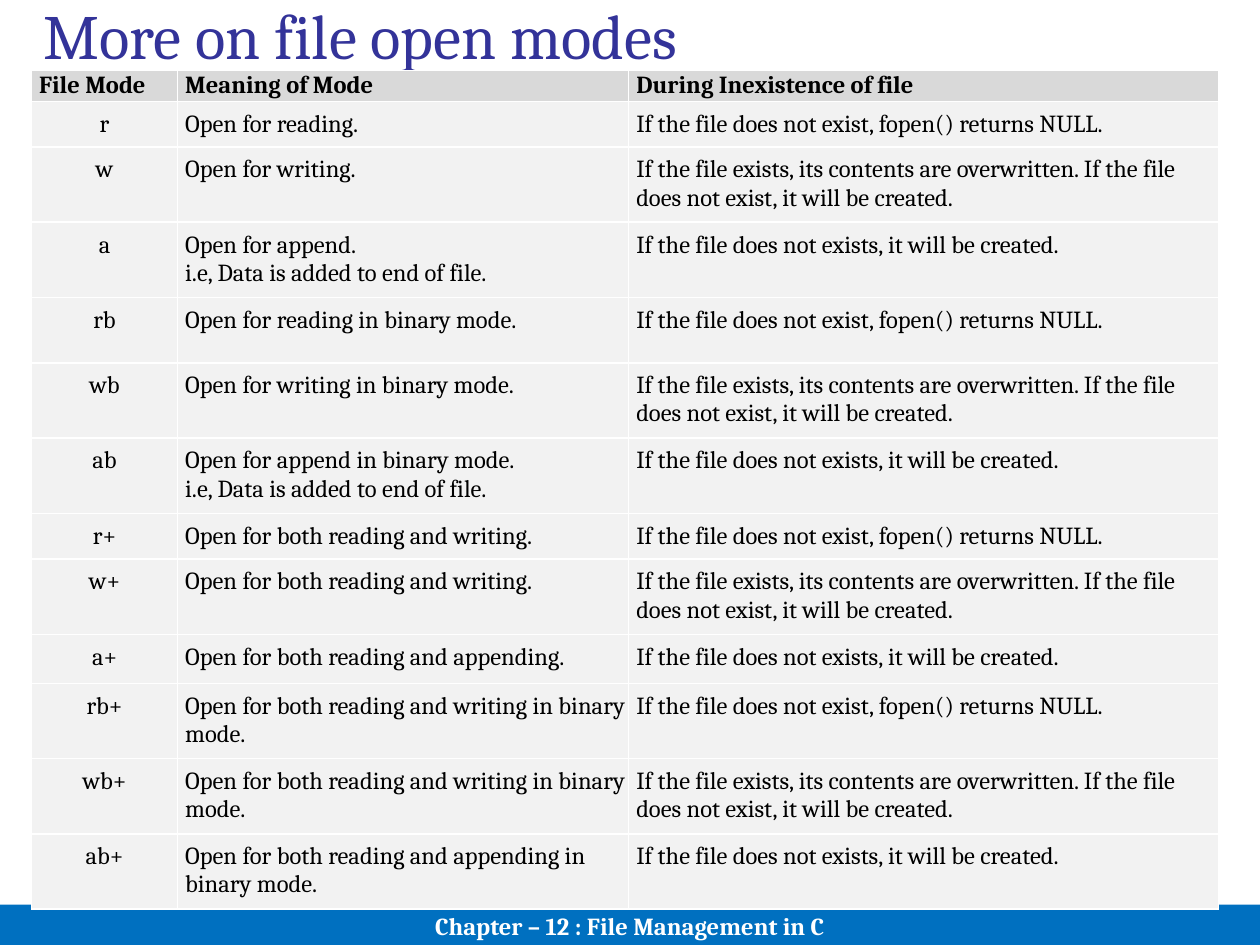
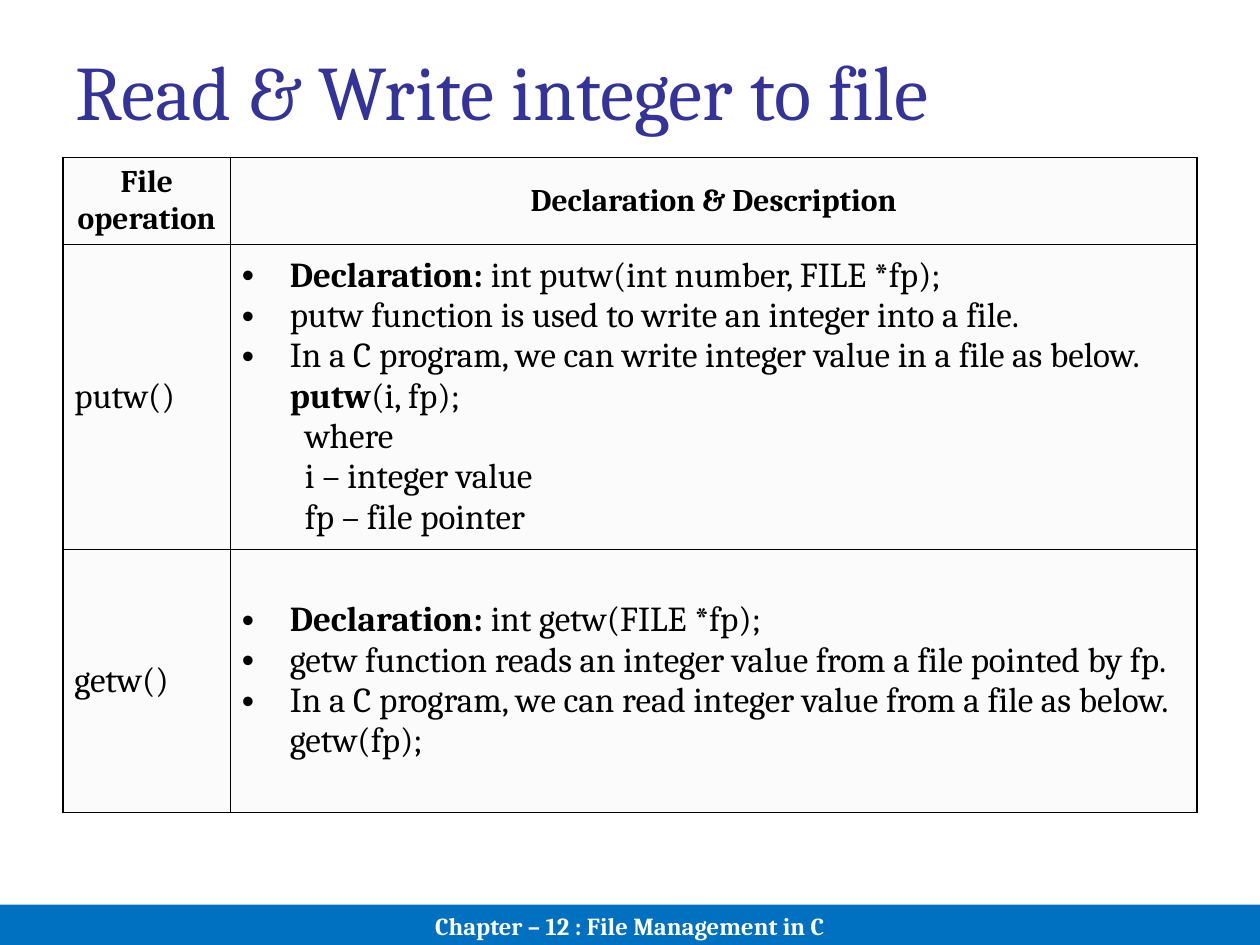
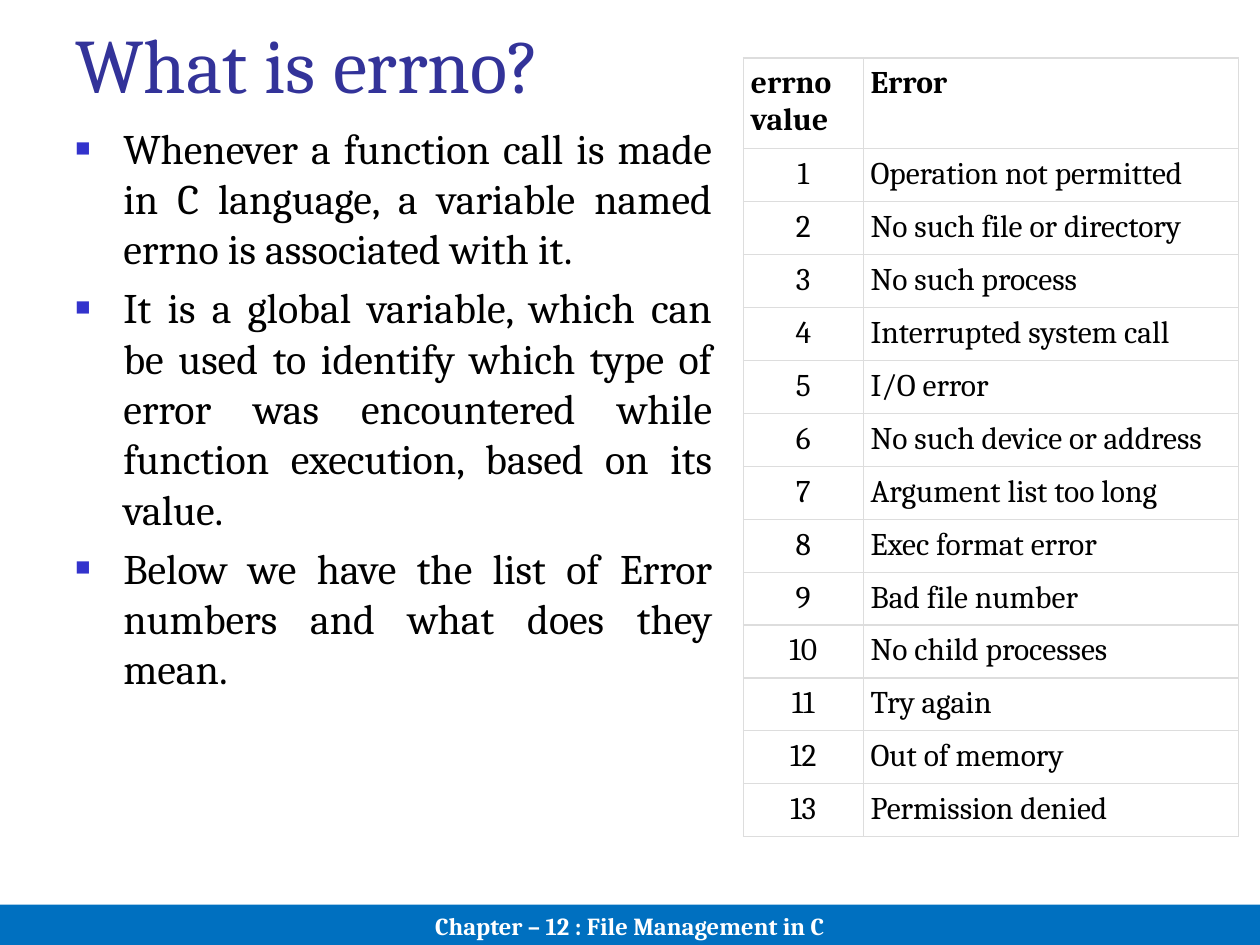
"""Build three slides on file management in C."""
from itertools import cycle

from lxml import etree
from pptx import Presentation
from pptx.dml.color import RGBColor
from pptx.enum.shapes import MSO_SHAPE
from pptx.enum.text import MSO_ANCHOR, PP_ALIGN
from pptx.oxml.ns import qn
from pptx.util import Inches, Pt

RECTANGLE = MSO_SHAPE.RECTANGLE
TOP, MIDDLE = MSO_ANCHOR.TOP, MSO_ANCHOR.MIDDLE
CENTER, JUSTIFY = PP_ALIGN.CENTER, PP_ALIGN.JUSTIFY
FONT = "Cambria"
BLACK = RGBColor(0x00, 0x00, 0x00)
WHITE = RGBColor(0xFF, 0xFF, 0xFF)
INDIGO = RGBColor(0x33, 0x33, 0x99)
BULLET_BLUE = RGBColor(0x33, 0x33, 0xCC)
FOOTER_BLUE = RGBColor(0x00, 0x70, 0xC0)
HEADER_GREY = RGBColor(0xD9, 0xD9, 0xD9)
ROW_GREY = RGBColor(0xF2, 0xF2, 0xF2)
PALE_GREY = RGBColor(0xFB, 0xFB, 0xFB)
LINE_GREY = RGBColor(0xDD, 0xDD, 0xDD)


def write(p, text, size, color=BLACK, bullet=None, bullet_color=None):
    """Fill a paragraph; bars enclose bold text and newlines break lines."""
    for i, part in enumerate(text.split("|")):
        for j, line in enumerate(part.split("\n")):
            if j:
                p.add_line_break()
            if line:
                r = p.add_run()
                r.text = line
                r.font.name, r.font.size = FONT, Pt(size)
                r.font.bold = i % 2 == 1
                r.font.color.rgb = color
    if bullet:
        pPr = p._p.get_or_add_pPr()
        pPr.set("marL", str(Inches(0.38)))
        pPr.set("indent", str(-Inches(0.38)))
        if bullet_color is not None:
            clr = etree.SubElement(pPr, qn("a:buClr"))
            etree.SubElement(clr, qn("a:srgbClr"), val=str(bullet_color))
            etree.SubElement(pPr, qn("a:buSzPct"), val="60000")
        etree.SubElement(pPr, qn("a:buFont"), typeface="Arial")
        etree.SubElement(pPr, qn("a:buChar"), char=bullet)


def add_grid(s, x, y, widths, heights, rows, sizes, fill, line, line_width, insets, anchor):
    """Add a bordered table whose cells are lists of (text, bullet) or plain strings."""
    table = s.shapes.add_table(len(heights), len(widths), Inches(x), Inches(y),
                               Inches(sum(widths)), Inches(sum(heights))).table
    table.first_row = table.horz_banding = False
    for col, width in zip(table.columns, widths):
        col.width = Inches(width)
    for i, (row, height) in enumerate(zip(table.rows, heights)):
        row.height = Inches(height)
        for cell, content in zip(row.cells, rows[i]):
            cell.margin_left, cell.margin_top, cell.margin_right, cell.margin_bottom = map(Inches, insets)
            cell.vertical_anchor = anchor
            cell.fill.solid()
            cell.fill.fore_color.rgb = fill
            paragraphs = [(content, None)] if isinstance(content, str) else content
            for j, (text, bullet) in enumerate(paragraphs):
                p = cell.text_frame.add_paragraph() if j else cell.text_frame.paragraphs[0]
                write(p, text, sizes[min(i, 1)], bullet=bullet)
            tcPr = cell._tc.get_or_add_tcPr()
            for j, side in enumerate(("a:lnL", "a:lnR", "a:lnT", "a:lnB")):
                ln = etree.Element(qn(side), w=str(Pt(line_width)))
                solid = etree.SubElement(ln, qn("a:solidFill"))
                etree.SubElement(solid, qn("a:srgbClr"), val=str(line))
                tcPr.insert(j, ln)
    return table


prs = Presentation()
prs.slide_width, prs.slide_height = Inches(10), Inches(7.5)

titles = [
    ("More on file open modes", 0.25, -0.08, 36),
    ("Read & Write integer to file", 0.5, 0.3, 44),
    ("What is errno?", 0.5, 0.08, 44),
]
for title, x, y, size in titles:
    s = prs.slides.add_slide(prs.slide_layouts[6])
    tf = s.shapes.add_textbox(Inches(x), Inches(y), Inches(9), Inches(1.25)).text_frame
    tf.word_wrap = True
    write(tf.paragraphs[0], title, size, INDIGO)
    sp = s.shapes.add_shape(RECTANGLE, 0, Inches(7.18), Inches(10), Inches(0.33))
    sp.shadow.inherit = False
    sp.fill.solid()
    sp.fill.fore_color.rgb = FOOTER_BLUE
    sp.line.fill.background()
    sp.text_frame.vertical_anchor = MIDDLE
    p = sp.text_frame.paragraphs[0]
    p.alignment = CENTER
    write(p, "|Chapter – 12 : File Management in C|", 14, WHITE)

modes_slide, integer_slide, errno_slide = prs.slides

append_note = ("i.e, Data is added to end of file.", None)
modes = [
    ("r", "Open for reading."),
    ("w", "Open for writing."),
    ("a", [("Open for append.", None), append_note]),
    ("rb", "Open for reading in binary mode."),
    ("wb", "Open for writing in binary mode."),
    ("ab", [("Open for append in binary mode.", None), append_note]),
    ("r+", "Open for both reading and writing."),
    ("w+", "Open for both reading and writing."),
    ("a+", "Open for both reading and appending."),
    ("rb+", "Open for both reading and writing in binary mode."),
    ("wb+", "Open for both reading and writing in binary mode."),
    ("ab+", "Open for both reading and appending in binary mode."),
]
if_missing = cycle([
    "If the file does not exist, fopen() returns NULL.",
    "If the file exists, its contents are overwritten. If the file does not exist, it will be created.",
    "If the file does not exists, it will be created.",
])
rows = [("|File Mode|", "|Meaning of Mode|", "|During Inexistence of file|")]
rows += [(mode, meaning, missing) for (mode, meaning), missing in zip(modes, if_missing)]
heights = [0.24, 0.36, 0.59, 0.59, 0.52, 0.59, 0.59, 0.36, 0.59, 0.39, 0.59, 0.59, 0.59]
table = add_grid(modes_slide, 0.25, 0.56, [1.16, 3.58, 4.68], heights, rows, (14, 14),
                 ROW_GREY, WHITE, 1, (0.06, 0.07, 0.01, 0.06), TOP)
for cell in table.rows[0].cells:
    cell.fill.fore_color.rgb = HEADER_GREY
    cell.margin_top, cell.margin_bottom = Inches(0.01), 0
for i in range(1, len(rows)):
    table.cell(i, 0).margin_left = Inches(0.01)
    table.cell(i, 0).text_frame.paragraphs[0].alignment = CENTER

rows = [
    ("|File operation|", "|Declaration & Description|"),
    ("putw()", [
        ("|Declaration:| int putw(int number, FILE *fp);", "•"),
        ("putw function is used to write an integer into a file.", "•"),
        ("In a C program, we can write integer value in a file as below.\n|putw|(i, fp);", "•"),
        ("where\ni – integer value\nfp – file pointer", None),
    ]),
    ("getw()", [
        ("|Declaration:| int getw(FILE *fp);", "•"),
        ("getw function reads an integer value from a file pointed by fp.", "•"),
        ("In a C program, we can read integer value from a file as below.\ngetw(fp);", "•"),
    ]),
]
table = add_grid(integer_slide, 0.5, 1.25, [1.33, 7.67], [0.69, 2.42, 2.09], rows, (18, 20),
                 PALE_GREY, BLACK, 0.75, (0.09, 0.04, 0.09, 0.04), MIDDLE)
for cell in table.rows[0].cells:
    cell.text_frame.paragraphs[0].alignment = CENTER
where = table.cell(1, 1).text_frame.paragraphs[-1]
where.level = 1
where._p.get_or_add_pPr().set("marL", str(Inches(0.5)))

points = [
    "Whenever a function call is made in C language, a variable named errno is associated with it.",
    "It is a global variable, which can be used to identify which type of error was encountered "
    "while function execution, based on its value.",
    "Below we have the list of Error numbers and what does they mean.",
]
tf = errno_slide.shapes.add_textbox(Inches(0.5), Inches(0.92), Inches(5.25), Inches(5.58)).text_frame
tf.word_wrap = True
for i, point in enumerate(points):
    p = tf.add_paragraph() if i else tf.paragraphs[0]
    p.alignment = JUSTIFY
    p.space_before = Pt(4.8)
    write(p, point, 24, bullet="■", bullet_color=BULLET_BLUE)

errors = [
    "Operation not permitted", "No such file or directory", "No such process",
    "Interrupted system call", "I/O error", "No such device or address",
    "Argument list too long", "Exec format error", "Bad file number",
    "No child processes", "Try again", "Out of memory", "Permission denied",
]
rows = [("|errno value|", "|Error|")]
rows += [(str(number), error) for number, error in enumerate(errors, 1)]
table = add_grid(errno_slide, 5.9, 0.46, [0.95, 2.98], [0.72] + [0.42] * len(errors), rows, (18, 18),
                 WHITE, LINE_GREY, 0.75, (0.06, 0.06, 0.06, 0.06), TOP)
for i in range(1, len(rows)):
    table.cell(i, 0).text_frame.paragraphs[0].alignment = CENTER

prs.save("out.pptx")
